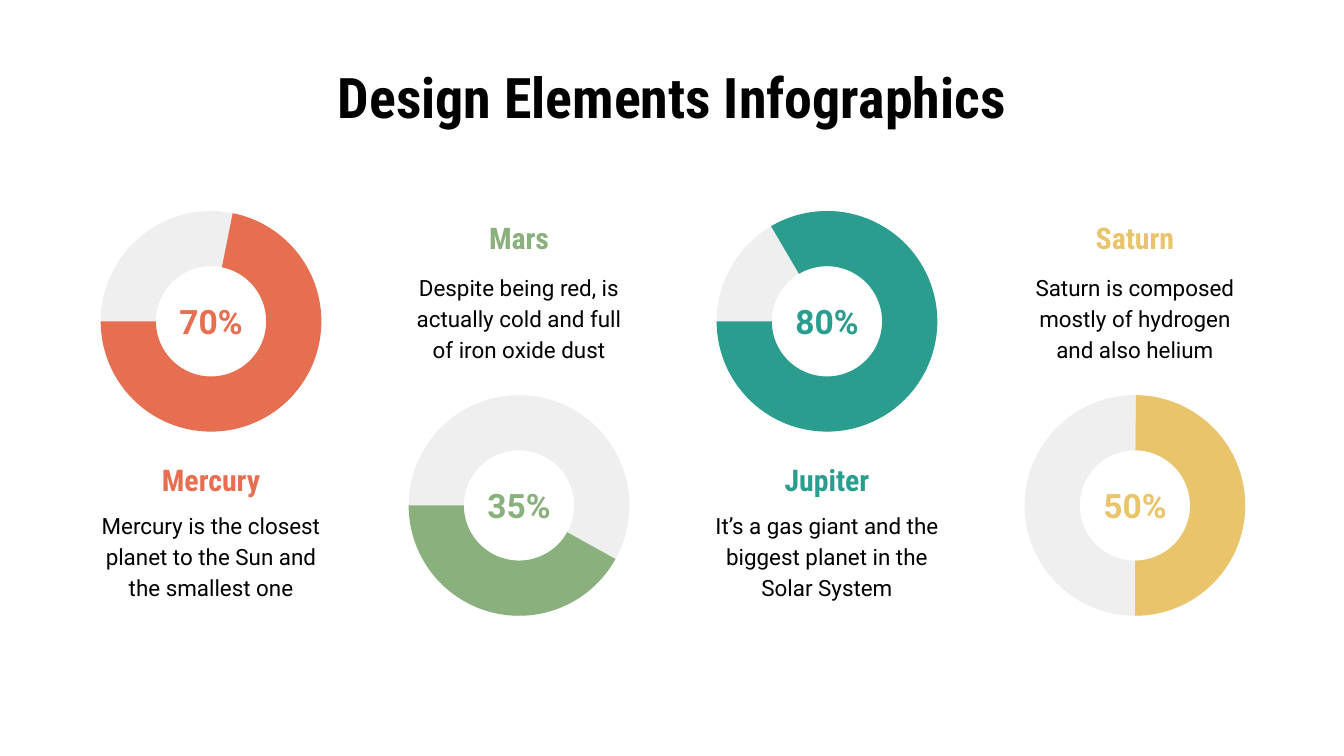
from pptx import Presentation
from pptx.dml.color import RGBColor
from pptx.enum.shapes import MSO_SHAPE
from pptx.enum.text import MSO_ANCHOR, MSO_AUTO_SIZE, PP_ALIGN
from pptx.util import Cm, Pt

BLOCK_ARC = MSO_SHAPE.BLOCK_ARC
MIDDLE = MSO_ANCHOR.MIDDLE
CENTER = PP_ALIGN.CENTER
NO_AUTOFIT = MSO_AUTO_SIZE.NONE

BLACK = RGBColor(0x00, 0x00, 0x00)
GREY = RGBColor(0xEF, 0xEF, 0xEF)
CORAL = RGBColor(0xE7, 0x6F, 0x51)
GREEN = RGBColor(0x8A, 0xB1, 0x7D)
TEAL = RGBColor(0x2A, 0x9D, 0x8F)
YELLOW = RGBColor(0xE9, 0xC4, 0x6A)

HEADING_FONT = "Roboto Condensed"
BODY_FONT = "Roboto"

TITLE = "Design Elements Infographics"
FULL_RING = (180, 179.98)

# name, description, share, colour, arc from and to (degrees clockwise from the right)
PLANETS = [
    ("Mercury", "Mercury is the closest planet to the Sun and the smallest one",
     "70%", CORAL, (281.33, 179.98)),
    ("Mars", "Despite being red, is actually cold and full of iron oxide dust",
     "35%", GREEN, (29.04, 179.98)),
    ("Jupiter", "It’s a gas giant and the biggest planet in the Solar System",
     "80%", TEAL, (239.55, 179.98)),
    ("Saturn", "Saturn is composed mostly of hydrogen and also helium",
     "50%", YELLOW, (270.57, 89.89)),
]

# tops in cm of ring, name and description; columns alternate between the two
RING_ABOVE = (3.99, 8.61, 9.45)
RING_BELOW = (7.47, 4.04, 4.95)

FIRST_CENTER = 3.99
COLUMN_PITCH = 5.82
RING_SIZE = 4.17
TEXT_WIDTH = 5.28
NAME_HEIGHT = 0.91
DESCRIPTION_HEIGHT = 2.08
SHARE_WIDTH = 2.36
SHARE_HEIGHT = 0.97


def write(frame, text, font, size, color, bold=True, side=0.51, edge=0.0, spacing=1.0):
    frame.word_wrap = True
    frame.auto_size = NO_AUTOFIT
    frame.vertical_anchor = MIDDLE
    frame.margin_left = frame.margin_right = Cm(side)
    frame.margin_top = frame.margin_bottom = Cm(edge)
    paragraph = frame.paragraphs[0]
    paragraph.alignment = CENTER
    paragraph.line_spacing = spacing
    run = paragraph.add_run()
    run.text = text
    run.font.name = font
    run.font.size = Pt(size)
    run.font.bold = bold
    run.font.color.rgb = color


def add_label(slide, center, top, width, height, *text, **style):
    box = slide.shapes.add_textbox(Cm(center - width / 2), Cm(top), Cm(width), Cm(height))
    write(box.text_frame, *text, **style)


def add_arc(slide, center, top, angles, color):
    arc = slide.shapes.add_shape(BLOCK_ARC, Cm(center - RING_SIZE / 2), Cm(top),
                                 Cm(RING_SIZE), Cm(RING_SIZE))
    start, end = angles
    # angles are stored in 1/60000 degree, adjustments count in 100000ths
    arc.adjustments[0] = start * 0.6
    arc.adjustments[1] = end * 0.6
    arc.adjustments[2] = 0.25
    arc.shadow.inherit = False
    arc.fill.solid()
    arc.fill.fore_color.rgb = color
    arc.line.fill.background()


def add_planet(slide, column, planet):
    name, description, share, color, angles = planet
    center = FIRST_CENTER + column * COLUMN_PITCH
    ring_top, name_top, description_top = RING_BELOW if column % 2 else RING_ABOVE

    add_label(slide, center, name_top, TEXT_WIDTH, NAME_HEIGHT,
              name, HEADING_FONT, 16, color)
    add_label(slide, center, description_top, TEXT_WIDTH, DESCRIPTION_HEIGHT,
              description, BODY_FONT, 12, BLACK, bold=False, spacing=1.15)
    add_arc(slide, center, ring_top, FULL_RING, GREY)
    add_arc(slide, center, ring_top, angles, color)
    add_label(slide, center, ring_top + (RING_SIZE - SHARE_HEIGHT) / 2,
              SHARE_WIDTH, SHARE_HEIGHT,
              share, BODY_FONT, 18, color, side=0.25, edge=0.25)


def main():
    presentation = Presentation()
    presentation.slide_width = Cm(25.4)
    presentation.slide_height = Cm(14.29)
    slide = presentation.slides.add_slide(presentation.slide_layouts[5])

    title = slide.shapes.title
    title.left, title.top = Cm(1.27), Cm(1.14)
    title.width, title.height = Cm(22.86), Cm(1.35)
    write(title.text_frame, TITLE, HEADING_FONT, 30, BLACK, side=0.25, edge=0.25)

    for column, planet in enumerate(PLANETS):
        add_planet(slide, column, planet)

    presentation.save("out.pptx")


if __name__ == "__main__":
    main()
